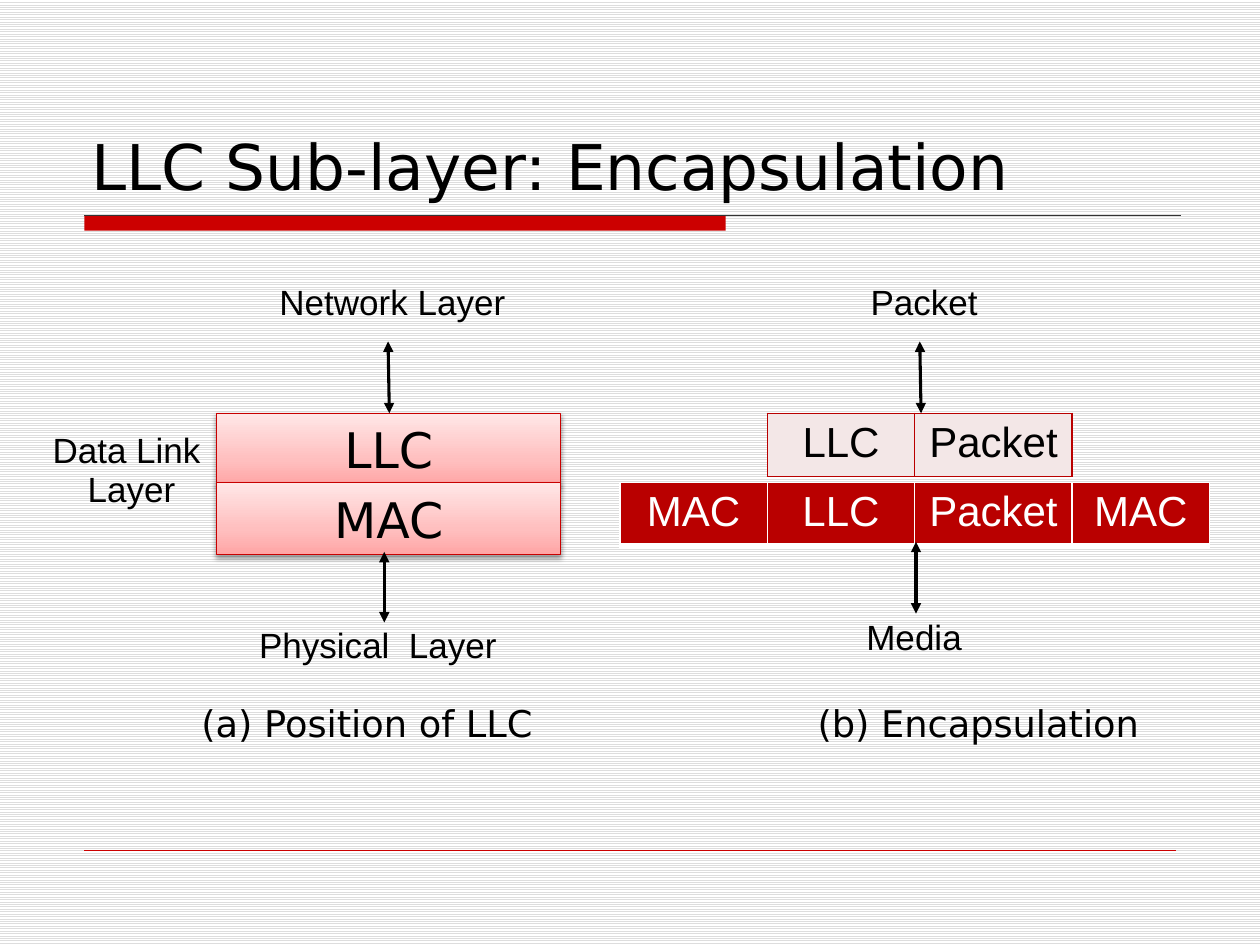
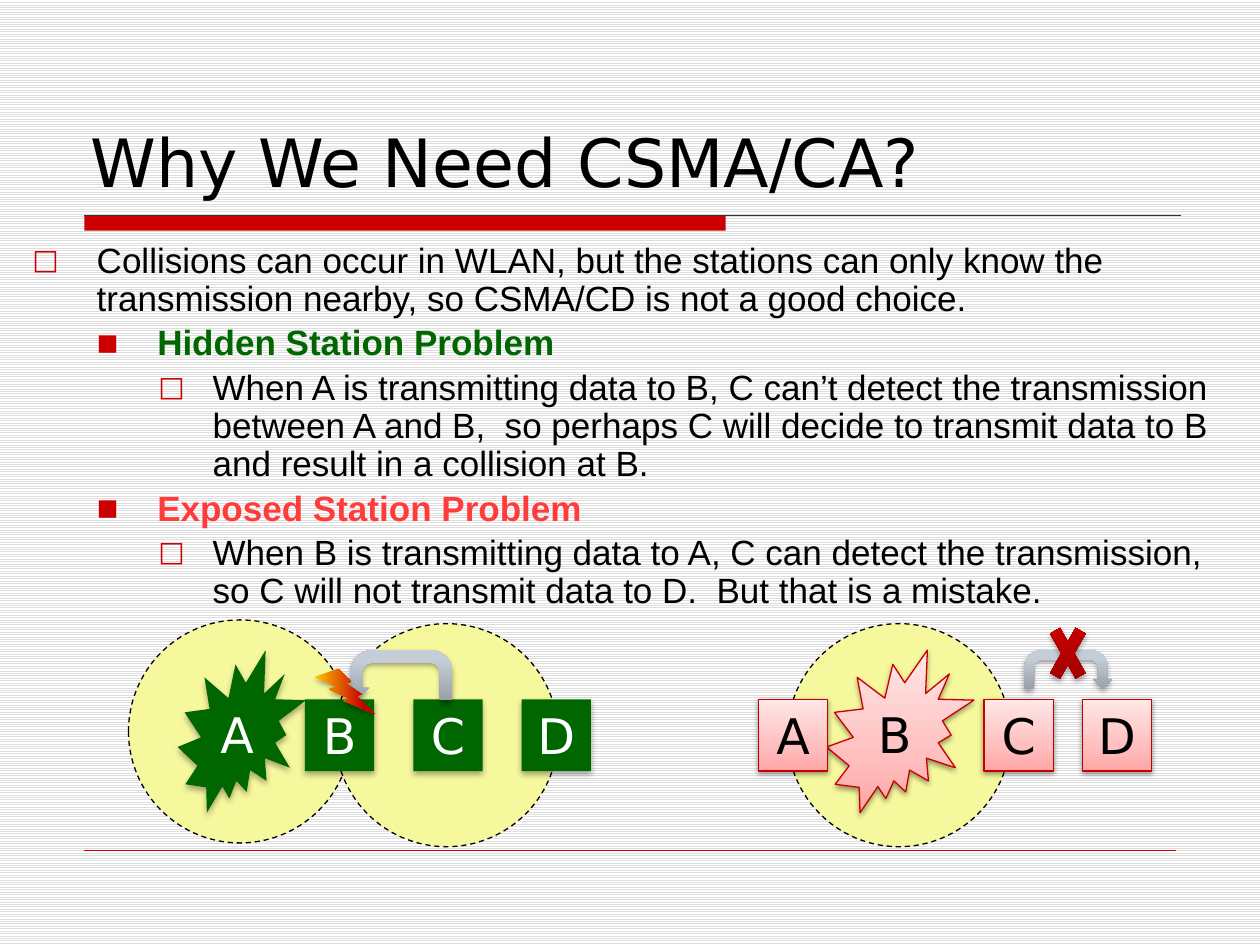
from dataclasses import dataclass
from typing import Any, NamedTuple

from lxml import etree
from pptx import Presentation
from pptx.dml.color import RGBColor
from pptx.enum import dml, shapes, text
from pptx.oxml.ns import qn
from pptx.util import Inches, Pt

SANS, ARIAL = "DejaVu Sans", "Arial"
BLACK, WHITE, RED, GREEN, WINE = "000000", "FFFFFF", "CC0000", "006600", "B90000"
KIND = shapes.MSO_SHAPE
MID = text.PP_ALIGN.CENTER


class Box(NamedTuple):
    left: float
    top: float
    width: float
    height: float


class Shade(NamedTuple):
    alpha: int
    blur: float
    gap: float


class Blend(NamedTuple):
    stops: tuple[tuple[int, str], ...]
    angle: int = 90


@dataclass(frozen=True)
class Look:
    fill: str | Blend
    line: str | None = None
    shade: Shade | None = None
    ink: str = BLACK
    dash: bool = False


@dataclass(frozen=True)
class Type:
    size: float
    face: str = ARIAL
    ink: str = BLACK
    bold: bool = False
    align: Any = None
    space: Any = None
    before: float = 0


class Item(NamedTuple):
    words: str
    level: int
    ink: str = BLACK


class Mark(NamedTuple):
    left: float
    hang: float
    sign: str
    size: int


class Label(NamedTuple):
    words: str
    box: Box


class Arrow(NamedTuple):
    x: float
    top: float
    end: float
    foot: float


class Node(NamedTuple):
    words: str
    box: Box
    kind: Any = KIND.RECTANGLE


class Strip(NamedTuple):
    box: Box
    words: tuple[str, ...]
    widths: tuple[float, ...]
    fill: str
    ink: str
    edge: str
    base: float


EFFECT = Shade(35, 3.1, 1.8)
PINK = Look(Blend(((0, "FFA5A5"), (35, "FFBFBF"), (100, "FFE7E7"))), "C80000", Shade(38, 3.1, 1.6))
LEAF = Look(GREEN, shade=Shade(32, 3.5, 2.2), ink=WHITE)
RANGE = Look("F6F89E", BLACK, dash=True)
STEEL = Look(Blend(((0, "989FA7"), (80, "C5CED8"), (100, "C6CFDA"))), shade=EFFECT)
CROSS = Look(Blend(((0, "980000"), (80, "C60000"), (100, "C70000"))), shade=EFFECT)
SPARK = Look(Blend(((0, "FFC000"), (80, "C60000"), (100, "C70000")), 0), shade=EFFECT)

BIG = Type(28, SANS, align=MID)
NOTE = Type(20, align=MID, space=Pt(12), before=10)
MARKS = (Mark(0.51, 0.51, "□", 80), Mark(0.99, 0.48, "■", 65), Mark(1.43, 0.43, "□", 80))


def color(code: str) -> RGBColor:
    return RGBColor.from_string(code)


def place(box: Box) -> list[int]:
    return [Inches(side) for side in box]


def add(host: Any, tag: str, **traits: Any) -> Any:
    return etree.SubElement(host, qn(tag), {key: str(val) for key, val in traits.items()})


def style(para: Any, kind: Type) -> None:
    para.alignment = kind.align
    para.line_spacing = kind.space
    para.space_before = Pt(kind.before)
    font = para.font
    font.size, font.name, font.bold = Pt(kind.size), kind.face, kind.bold
    font.color.rgb = color(kind.ink)


def write(slide: Any, words: str, box: Box, kind: Type, wrap: bool = True,
          anchor: Any = text.MSO_ANCHOR.TOP) -> None:
    frame = slide.shapes.add_textbox(*place(box)).text_frame
    frame.word_wrap, frame.vertical_anchor = wrap, anchor
    frame.text = words
    for para in frame.paragraphs:
        style(para, kind)


def paint(shape: Any, fill: str | Blend) -> None:
    if isinstance(fill, str):
        shape.fill.solid()
        shape.fill.fore_color.rgb = color(fill)
        return
    shape.fill.gradient()
    shape.fill.gradient_angle = fill.angle
    stops = shape._element.spPr.find(qn("a:gradFill")).find(qn("a:gsLst"))
    for stop in list(stops):
        stops.remove(stop)
    for pos, code in fill.stops:
        add(add(stops, "a:gs", pos=pos * 1000), "a:srgbClr", val=code)


def draw(slide: Any, kind: Any, box: Box, look: Look, words: str = "") -> Any:
    shape = slide.shapes.add_shape(kind, *place(box))
    paint(shape, look.fill)
    if look.line:
        shape.line.color.rgb = color(look.line)
        shape.line.width = Pt(0.75)
        if look.dash:
            shape.line.dash_style = dml.MSO_LINE.DASH
    else:
        shape.line.fill.background()
    shape.shadow.inherit = False
    if look.shade:
        cast = add(shape._element.spPr.find(qn("a:effectLst")), "a:outerShdw",
                   blurRad=Pt(look.shade.blur), dist=Pt(look.shade.gap), dir=5400000, rotWithShape=0)
        add(add(cast, "a:srgbClr", val=BLACK), "a:alpha", val=look.shade.alpha * 1000)
    if words:
        frame = shape.text_frame
        frame.margin_left = frame.margin_right = frame.margin_top = frame.margin_bottom = 0
        frame.text = words
        style(frame.paragraphs[0], Type(BIG.size, BIG.face, look.ink, align=MID))
    return shape


def rule(slide: Any, x: float, y: float, end: float, foot: float, ink: str, width: float) -> Any:
    line = slide.shapes.add_connector(shapes.MSO_CONNECTOR.STRAIGHT, *place(Box(x, y, end, foot)))
    line.line.color.rgb = color(ink)
    line.line.width = Pt(width)
    add(line._element.spPr, "a:effectLst")
    return line


def point(slide: Any, arrow: Arrow) -> None:
    line = rule(slide, *arrow, BLACK, 1.75).line._get_or_add_ln()
    for tip in ("a:headEnd", "a:tailEnd"):
        add(line, tip, type="triangle")


def strip(slide: Any, row: Strip) -> None:
    table = slide.shapes.add_table(1, len(row.words), *place(row.box)).table
    table.first_row = table.horz_banding = False
    for col, width in zip(table.columns, row.widths):
        col.width = Inches(width)
    for cell, words in zip(table.rows[0].cells, row.words):
        props = cell._tc.get_or_add_tcPr()
        for side in "LRTB":
            edge = add(props, f"a:ln{side}", w=Pt(row.base if side == "B" else 1))
            add(add(edge, "a:solidFill"), "a:srgbClr", val=row.edge)
        cell.fill.solid()
        cell.fill.fore_color.rgb = color(row.fill)
        cell.text = words
        style(cell.text_frame.paragraphs[0], Type(24, ink=row.ink, align=MID))


def outline(slide: Any, items: list[Item], box: Box) -> None:
    frame = slide.shapes.add_textbox(*place(box)).text_frame
    frame.word_wrap = True
    frame.text = "\n".join(item.words for item in items)
    for para, item in zip(frame.paragraphs, items):
        mark = MARKS[item.level]
        para.level = item.level
        props = para._p.get_or_add_pPr()
        props.set("marL", str(Inches(mark.left)))
        props.set("indent", str(-Inches(mark.hang)))
        add(add(props, "a:buClr"), "a:srgbClr", val=RED)
        add(props, "a:buSzPct", val=mark.size * 1000)
        add(props, "a:buFont", typeface=SANS)
        add(props, "a:buChar", char=mark.sign)
        style(para, Type(20, ink=item.ink, bold=item.level == 1, space=0.9, before=4))


def begin(deck: Any, title: str, box: Box, size: float) -> Any:
    slide = deck.slides.add_slide(deck.slide_layouts[6])
    fill = slide.background.fill
    fill.patterned()
    fill.pattern = dml.MSO_PATTERN.LIGHT_HORIZONTAL
    fill.fore_color.rgb, fill.back_color.rgb = color("DDDDDD"), color(WHITE)
    draw(slide, KIND.RECTANGLE, Box(0.67, 1.71, 5.09, 0.12), Look(RED))
    rule(slide, 0.67, 1.71, 9.37, 1.71, "333333", 0.75)
    rule(slide, 0.67, 6.75, 9.33, 6.75, RED, 0.25)
    write(slide, title, box, Type(size, SANS), anchor=text.MSO_ANCHOR.BOTTOM)
    return slide


def layers(deck: Any) -> None:
    slide = begin(deck, "LLC Sub-layer: Encapsulation", Box(0.63, 0.33, 8.75, 1.33), 36)
    for words, left in (("(a) Position of LLC", 1.5), ("(b) Encapsulation", 6.39)):
        write(slide, words, Box(left, 5.55, 3.4, 0.46), Type(21, SANS, space=0.9))
    for words, top in (("LLC", 3.28), ("MAC", 3.83)):
        draw(slide, KIND.RECTANGLE, Box(1.72, top, 2.73, 0.57), PINK, words)
    for label in (
        Label("Data Link\n Layer", Box(0.31, 3.52, 1.39, 0.63)),
        Label("Physical  Layer", Box(1.95, 5.07, 2.1, 0.27)),
        Label("Network Layer", Box(2.11, 2.34, 2.01, 0.27)),
        Label("Media", Box(6.77, 5, 0.97, 0.27)),
        Label("Packet", Box(6.33, 2.34, 2.01, 0.27)),
    ):
        write(slide, label.words, label.box, NOTE, wrap=False)
    side, core = 1.17, 1.25
    strip(slide, Strip(Box(6.09, 3.28, 2.42, 0.5), ("LLC", "Packet"), (side, core),
                       "F3E7E7", BLACK, WINE, 1))
    strip(slide, Strip(Box(4.92, 3.83, 4.69, 0.48), ("MAC", "LLC", "Packet", "MAC"),
                       (side, side, core, 1.09), WINE, WHITE, WHITE, 3))
    for arrow in (Arrow(3.08, 2.71, 3.09, 3.28), Arrow(3.05, 4.38, 3.05, 4.94),
                  Arrow(7.27, 4.3, 7.27, 4.87), Arrow(7.3, 2.71, 7.31, 3.28)):
        point(slide, arrow)


def access(deck: Any) -> None:
    slide = begin(deck, "Why We Need CSMA/CA?", Box(0.62, 0.39, 8.52, 1.25), 38)
    for left, top in ((1.02, 4.92), (6.25, 4.95), (2.66, 4.95)):
        draw(slide, KIND.OVAL, Box(left, top, 1.77, 1.77), RANGE)
    outline(slide, [
        Item("Collisions can occur in WLAN, but the stations can only know the "
             "transmission nearby, so CSMA/CD is not a good choice.", 0),
        Item("Hidden Station Problem", 1, GREEN),
        Item("When A is transmitting data to B, C can’t detect the transmission between A and B,  "
             "so perhaps C will decide to transmit data to B and result in a collision at B.", 2),
        Item("Exposed Station Problem", 1, "FF3C3C"),
        Item("When B is transmitting data to A, C can detect the transmission, "
             "so C will not transmit data to D.  But that is a mistake.", 2),
    ], Box(0.16, 1.88, 9.67, 3.82))
    hidden = [Node("A", Box(1.41, 5.16, 1.02, 1.29), KIND.EXPLOSION2)]
    hidden += [Node(name, Box(2.42 + 0.86 * i, 5.55, 0.55, 0.57)) for i, name in enumerate("BCD")]
    exposed = [Node("B", Box(6.56, 5.16, 1.17, 1.29), KIND.EXPLOSION2)]
    exposed += [Node(name, Box(left, 5.55, 0.55, 0.57))
                for name, left in zip("ACD", (6.02, 7.81, 8.59))]
    for nodes, look in ((hidden, LEAF), (exposed, PINK)):
        for node in nodes:
            draw(slide, node.kind, node.box, look, node.words)
    turn = draw(slide, KIND.U_TURN_ARROW, Box(8.13, 5.16, 0.7, 0.31), STEEL)
    draw(slide, KIND.MATH_MULTIPLY, Box(8.28, 4.84, 0.39, 0.69), CROSS)
    back = draw(slide, KIND.U_TURN_ARROW, Box(2.73, 5.16, 0.86, 0.4), STEEL)
    back._element.spPr.find(qn("a:xfrm")).set("flipH", "1")
    for bend in (turn, back):
        bend.adjustments[4] = 1
    draw(slide, KIND.LIGHTNING_BOLT, Box(2.5, 5.31, 0.48, 0.36), SPARK)


def main() -> None:
    deck = Presentation()
    deck.slide_width, deck.slide_height = Inches(10), Inches(7.5)
    layers(deck)
    access(deck)
    deck.save("out.pptx")


if __name__ == "__main__":
    main()
